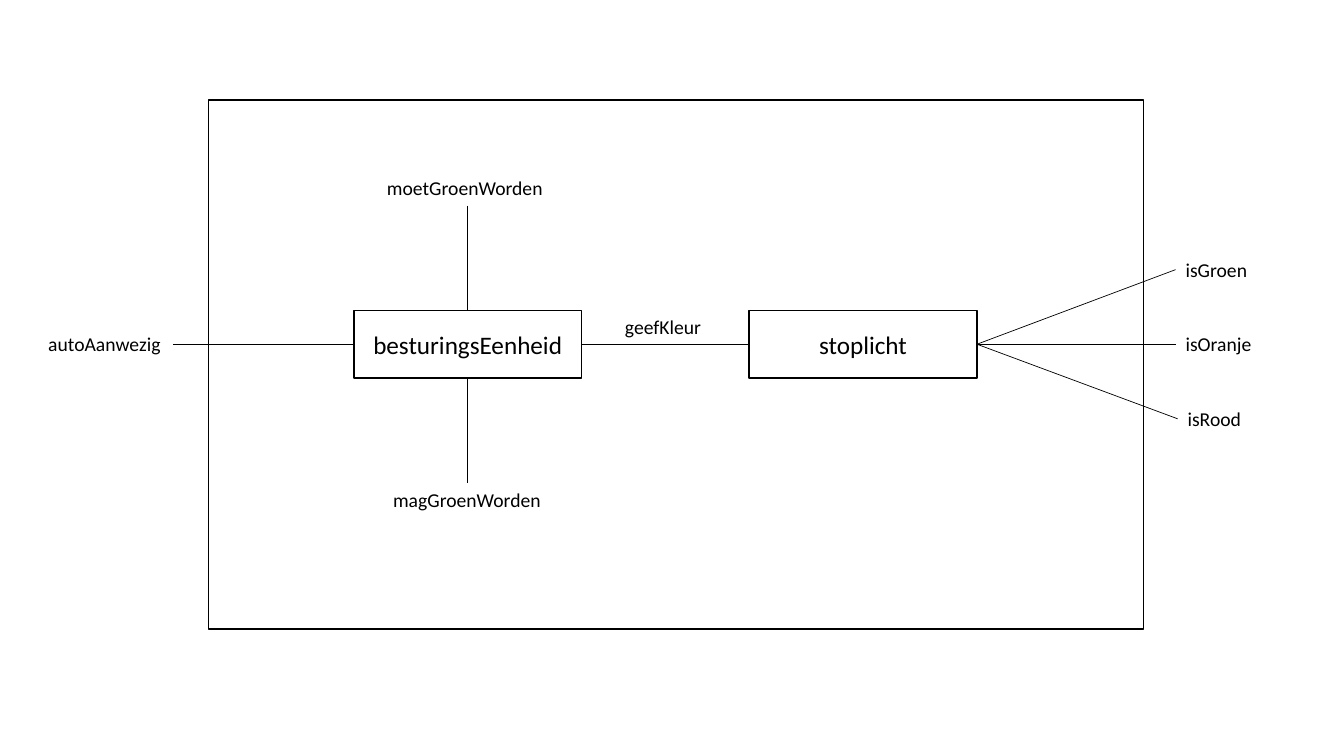
from pptx import Presentation
from pptx.dml.color import RGBColor
from pptx.enum.shapes import MSO_CONNECTOR, MSO_SHAPE
from pptx.enum.text import MSO_ANCHOR, MSO_AUTO_SIZE, PP_ALIGN
from pptx.oxml.ns import qn
from pptx.util import Inches, Pt
from lxml.etree import SubElement

COLORS = {"ink": "000000", "paper": "FFFFFF"}
FONT = "Calibri"
LABEL_H = 0.34


def color(name):
    return RGBColor.from_string(COLORS[name])


def write(frame, text, size, align):
    para = frame.paragraphs[0]
    para.text = text
    para.alignment = align
    para.font.name = FONT
    para.font.size = Pt(size)
    para.font.color.rgb = color("ink")


def add_box(slide, box, text=None):
    shape = slide.shapes.add_shape(MSO_SHAPE.RECTANGLE, *map(Inches, box))
    shape.shadow.inherit = False
    shape.fill.solid()
    shape.fill.fore_color.rgb = color("paper")
    shape.line.color.rgb = color("ink")
    shape.line.width = Pt(1)
    if text:
        shape.text_frame.vertical_anchor = MSO_ANCHOR.MIDDLE
        write(shape.text_frame, text, 18, PP_ALIGN.CENTER)


def add_label(slide, left, top, width, text):
    area = slide.shapes.add_textbox(*map(Inches, (left, top, width, LABEL_H)))
    frame = area.text_frame
    frame.word_wrap = True
    frame.auto_size = MSO_AUTO_SIZE.SHAPE_TO_FIT_TEXT
    write(frame, text, 14, PP_ALIGN.LEFT)


def add_line(slide, start, end):
    line = slide.shapes.add_connector(
        MSO_CONNECTOR.STRAIGHT, *map(Inches, (*start, *end)))
    line.line.color.rgb = color("ink")
    line.line.width = Pt(0.5)
    SubElement(line._element.spPr, qn("a:effectLst"))


def draw_control(slide, box):
    left, top, width, height = box
    mid_x, mid_y, bottom = left + width / 2, top + height / 2, top + height
    reach = 1.04
    add_box(slide, box, "besturingsEenheid")
    add_line(slide, (left - 1.79, mid_y), (left, mid_y))
    add_label(slide, left - 3.13, mid_y - LABEL_H / 2, 1.34, "autoAanwezig")
    add_line(slide, (mid_x, top - reach), (mid_x, top))
    add_label(slide, mid_x - 0.9, top - reach - LABEL_H, 1.8, "moetGroenWorden")
    add_line(slide, (mid_x, bottom), (mid_x, bottom + reach))
    add_label(slide, mid_x - 0.84, bottom + reach, 1.69, "magGroenWorden")


def draw_light(slide, box):
    left, top, width, height = box
    right, mid_y = left + width, top + height / 2
    add_box(slide, box, "stoplicht")
    outputs = (("isGroen", 1.97), ("isOranje", 1.97), ("isRood", 1.99))
    for row, (text, reach) in enumerate(outputs, -1):
        end_y = mid_y + row * 0.74
        add_line(slide, (right, mid_y), (right + reach, end_y))
        add_label(slide, right + reach, end_y - LABEL_H / 2, 1.35, text)


def draw_link(slide, box):
    left, top, width, height = box
    mid_y = top + height / 2
    add_line(slide, (left, mid_y), (left + width, mid_y))
    add_label(slide, left + 0.33, top, 1, "geefKleur")


def draw_system(slide, box):
    left, top, width, height = box
    unit_w, unit_h, gap = 2.26, 0.67, 1.66
    unit_x, unit_y = left + 1.44, top + 2.09
    link_x = unit_x + unit_w
    add_box(slide, box)
    draw_control(slide, (unit_x, unit_y, unit_w, unit_h))
    draw_light(slide, (link_x + gap, unit_y, unit_w, unit_h))
    draw_link(slide, (link_x, unit_y, gap, unit_h))


deck = Presentation()
deck.slide_width = Inches(13.33)
deck.slide_height = Inches(7.5)
page = deck.slides.add_slide(deck.slide_layouts[6])
draw_system(page, (2.07, 0.99, 9.27, 5.25))
deck.save("out.pptx")
